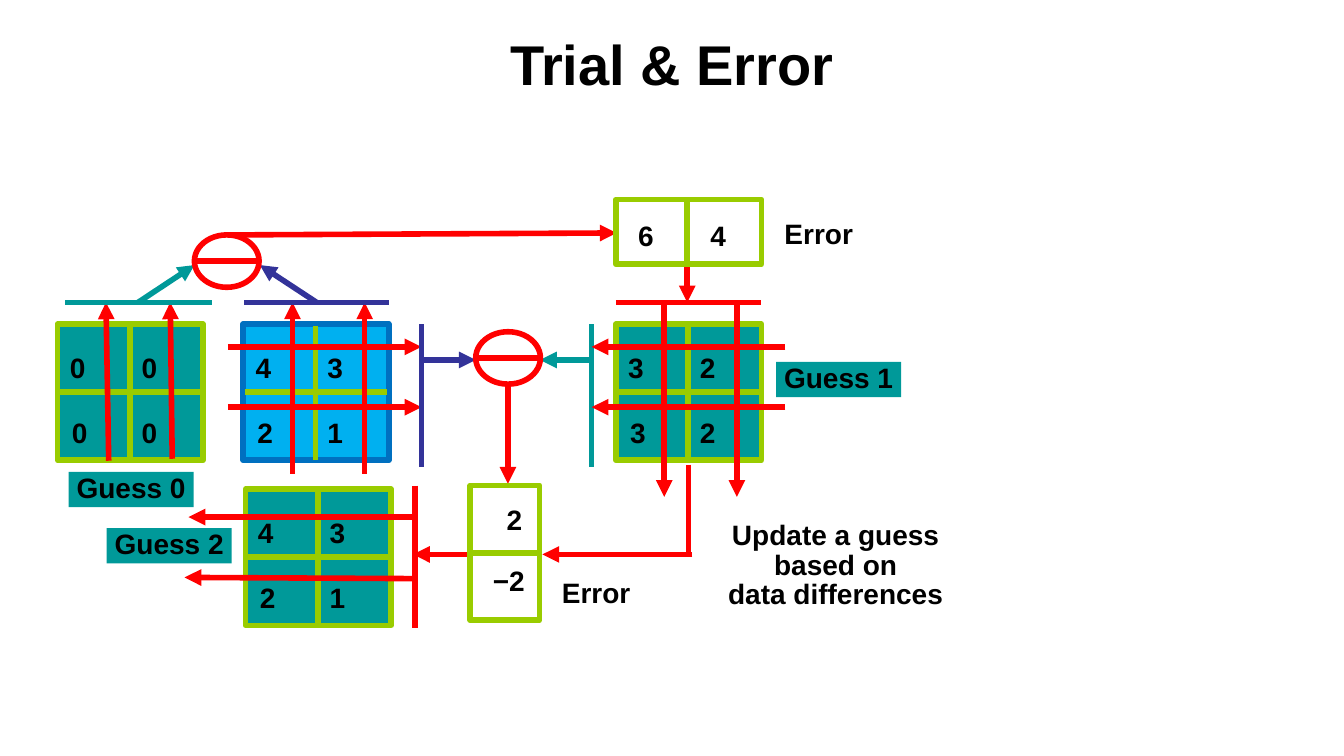
from lxml.etree import SubElement
from pptx import Presentation
from pptx.dml.color import RGBColor
from pptx.enum.shapes import MSO_CONNECTOR as Connector, MSO_SHAPE as Shape
from pptx.enum.text import MSO_ANCHOR as Anchor, MSO_AUTO_SIZE as AutoSize, PP_ALIGN as Align
from pptx.oxml.ns import qn
from pptx.util import Cm, Pt

BLACK = RGBColor(0x00, 0x00, 0x00)
WHITE = RGBColor(0xFF, 0xFF, 0xFF)
RED = RGBColor(0xFF, 0x00, 0x00)
TEAL = RGBColor(0x00, 0x99, 0x99)
INDIGO = RGBColor(0x33, 0x33, 0x99)
LIME = RGBColor(0x99, 0xCC, 0x00)
SKY = RGBColor(0x00, 0xB0, 0xF0)
BLUE = RGBColor(0x00, 0x70, 0xC0)

STROKE = Pt(4)
GRID_WIDTH, GRID_HEIGHT = 3.67, 3.43
GRID_TOP = 8.17
CELL_OFFSETS = [(0.11, 0.66), (1.92, 0.66), (0.16, 2.29), (1.92, 2.29)]
RAY_ROWS = (0.57, 2.09)
BAR_RISE = -0.55


def add_text(page, text, left, top, width, height, size=20, fill=None, align=Align.LEFT,
             anchor=Anchor.TOP, inset=(0.2, 0.1), spacing=0.9, wrap=True):
    """Add a bold Arial text box, with an optional fill, and return its run."""
    box = page.shapes.add_textbox(Cm(left), Cm(top), Cm(width), Cm(height))
    if fill is not None:
        box.fill.solid()
        box.fill.fore_color.rgb = fill
    frame = box.text_frame
    frame.word_wrap = wrap
    frame.auto_size = AutoSize.NONE
    frame.vertical_anchor = anchor
    frame.margin_left = frame.margin_right = Cm(inset[0])
    frame.margin_top = frame.margin_bottom = Cm(inset[1])
    para = frame.paragraphs[0]
    para.text = text
    para.alignment = align
    para.line_spacing = spacing
    for span in para.runs:
        span.font.name = "Arial"
        span.font.size = Pt(size)
        span.font.bold = True
        span.font.color.rgb = BLACK
    return para.runs[0]


def add_label(page, text, left, top, width, height=0.89, fill=None):
    """Add a centred caption that does not wrap."""
    add_text(page, text, left, top, width, height, fill=fill, align=Align.CENTER,
             inset=(0.18, 0.08), spacing=0.88, wrap=False)


def add_outline(page, kind, left, top, width, height, fill, line):
    """Add a filled shape with a thick outline."""
    shape = page.shapes.add_shape(kind, Cm(left), Cm(top), Cm(width), Cm(height))
    shape.shadow.inherit = False
    shape.fill.solid()
    shape.fill.fore_color.rgb = fill
    shape.line.color.rgb = line
    shape.line.width = STROKE


def add_strokes(page, left, top, strokes, color=RED, arrow=False):
    """Draw lines given as start and end offsets from a corner."""
    for x1, y1, x2, y2 in strokes:
        line = page.shapes.add_connector(Connector.STRAIGHT, Cm(left + x1), Cm(top + y1),
                                         Cm(left + x2), Cm(top + y2))
        line.line.color.rgb = color
        line.line.width = STROKE
        if arrow:
            SubElement(line.line._get_or_add_ln(), qn("a:tailEnd"), type="triangle")
        SubElement(line._element.spPr, qn("a:effectLst"))


def add_title(page, left, top, width, height):
    """Add the centred title with its text shadow."""
    span = add_text(page, "Trial & Error", left, top, width, height, size=40,
                    align=Align.CENTER, anchor=Anchor.MIDDLE, spacing=1.0)
    properties = span.font._element
    effects = properties.makeelement(qn("a:effectLst"), {})
    properties.find(qn("a:solidFill")).addnext(effects)
    shadow = SubElement(effects, qn("a:outerShdw"), dist="38100", dir="2700000", algn="tl")
    SubElement(shadow, qn("a:srgbClr"), val="C0C0C0")


def add_grid(page, left, top, values, fill=TEAL, line=LIME, cell_fill=TEAL):
    """Draw a two by two grid of numbers."""
    add_outline(page, Shape.RECTANGLE, left, top, GRID_WIDTH, GRID_HEIGHT, fill, line)
    add_strokes(page, left, top, [(1.82, GRID_HEIGHT, 1.82, 0.05), (0.05, 1.71, 3.62, 1.71)], LIME)
    for value, (x, y) in zip(values, CELL_OFFSETS):
        add_text(page, value, left + x, top + y, 1.27, 0.97, fill=cell_fill)


def add_guess_zero(page, left, top):
    """Draw the first guess and its column sums."""
    add_grid(page, left, top, "0000")
    add_strokes(page, left, top, [(2.89, 3.39, 2.84, BAR_RISE), (1.29, 3.44, 1.22, BAR_RISE)],
                arrow=True)
    add_strokes(page, left, top, [(0.2, BAR_RISE, 3.88, BAR_RISE)], TEAL)
    add_strokes(page, left, top, [(2.03, BAR_RISE, 3.45, -1.49)], TEAL, arrow=True)
    add_label(page, "Guess 0", left + 0.28, top + 3.72, 3.15, fill=TEAL)


def add_data(page, left, top):
    """Draw the true values with their column and row sums."""
    add_grid(page, left, top, "4321", SKY, BLUE, None)
    add_strokes(page, left, top, [(x, 3.77, x, BAR_RISE) for x in (1.24, 3.06)], arrow=True)
    add_strokes(page, left, top, [(-0.39, y, 4.49, y) for y in RAY_ROWS], arrow=True)
    add_strokes(page, left, top, [(0.02, BAR_RISE, 3.67, BAR_RISE), (4.49, 0, 4.49, 3.59)], INDIGO)
    add_strokes(page, left, top, [(1.85, BAR_RISE, 0.42, -1.49), (4.44, 0.9, 5.86, 0.9)],
                INDIGO, arrow=True)


def add_guess_one(page, left, top):
    """Draw the second guess, its update from above and its row sums."""
    add_grid(page, left, top, "3232")
    add_strokes(page, left, top, [(0, BAR_RISE, 3.66, BAR_RISE), (1.83, 3.54, 1.83, 5.8)])
    add_strokes(page, left, top, [(x, BAR_RISE, x, 4.35) for x in (1.22, 3.05)], arrow=True)
    add_strokes(page, left, top, [(-0.61, 0, -0.61, 3.59)], TEAL)
    add_strokes(page, left, top, [(4.27, y, -0.61, y) for y in RAY_ROWS], arrow=True)
    add_strokes(page, left, top, [(-0.66, 0.9, -1.91, 0.9)], TEAL, arrow=True)
    add_strokes(page, left, top, [(1.93, 5.8, -1.85, 5.8)], arrow=True)
    add_label(page, "Guess 1", left + 4.04, top + 0.95, 3.15, fill=TEAL)


def add_guess_two(page, left, top):
    """Draw the final guess and its update from the right."""
    add_grid(page, left, top, "4321")
    add_strokes(page, left, top, [(4.27, -0.09, 4.27, 3.49)])
    add_strokes(page, left, top, [(6.56, 1.64, 4.22, 1.64), (4.22, 0.7, -1.44, 0.7),
                                  (4.27, 2.25, -1.54, 2.22)], arrow=True)
    add_label(page, "Guess 2", left - 3.5, top + 0.98, 3.15, fill=TEAL)


def add_subtraction(page, left, top, output):
    """Draw a minus sign in an ellipse and the arrow that leaves it."""
    add_outline(page, Shape.OVAL, left, top, 1.63, 1.32, WHITE, RED)
    add_strokes(page, left, top, [(0, 0.66, 1.63, 0.66)])
    add_strokes(page, left, top, [output], arrow=True)


def add_column_error(page, left, top):
    """Draw the row of column errors."""
    add_strokes(page, left, top, [(1.8, 0.89, 1.8, 2.59)], arrow=True)
    add_outline(page, Shape.RECTANGLE, left, top, GRID_WIDTH, 1.63, WHITE, LIME)
    add_strokes(page, left, top, [(1.8, 1.6, 1.8, 0.05)], LIME)
    for value, x in (("6", 0.36), ("4", 2.18)):
        add_text(page, value, left + x, top + 0.46, 1.27, 0.97, fill=WHITE)
    add_label(page, "Error", left + 4.06, top + 0.46, 2.11, fill=WHITE)


def add_row_error(page, left, top):
    """Draw the stack of row errors."""
    add_outline(page, Shape.RECTANGLE, left, top, 1.75, 3.4, WHITE, LIME)
    add_strokes(page, left, top, [(1.71, 1.71, 0.04, 1.71)], LIME)
    for value, x, y, width in (("−2", 0.37, 1.97, 1.27), ("2", 0.72, 0.42, 0.61)):
        add_text(page, value, left + x, top + y, width, 0.97, fill=WHITE)
    add_label(page, "Error", left + 2.12, top + 2.3, 2.11, fill=WHITE)


def main():
    """Build the slide and save the deck."""
    deck = Presentation()
    deck.slide_width, deck.slide_height = Cm(33.87), Cm(19.05)
    page = deck.slides.add_slide(deck.slide_layouts[6])
    add_title(page, 0.56, 0.43, 32.74, 2.34)
    add_guess_one(page, 15.52, GRID_TOP)
    add_data(page, 6.13, GRID_TOP)
    add_guess_zero(page, 1.45, GRID_TOP)
    add_subtraction(page, 4.9, 5.92, (0.84, 0, 10.64, -0.05))
    add_subtraction(page, 11.99, 8.36, (0.81, 1.29, 0.81, 3.83))
    add_guess_two(page, 6.19, 12.33)
    add_column_error(page, 15.52, 5.03)
    add_row_error(page, 11.85, 12.23)
    add_label(page, "Update a guess\nbased on\ndata differences", 18.14, 13.08, 5.84, 2.41)
    deck.save("out.pptx")


if __name__ == "__main__":
    main()
